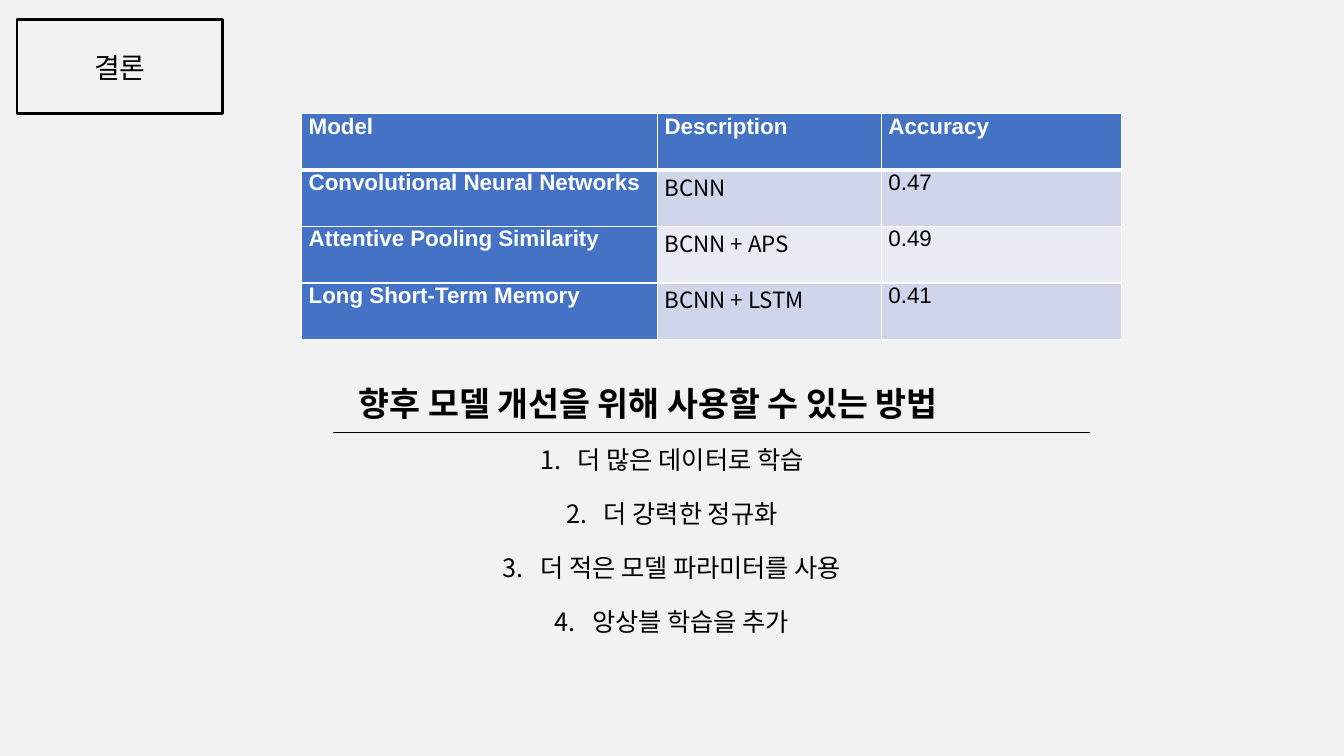
import dataclasses

import lxml.etree
import pptx
import pptx.dml.color
import pptx.enum.shapes
import pptx.enum.text
import pptx.oxml.ns
import pptx.util

Cm = pptx.util.Cm
Pt = pptx.util.Pt
Align = pptx.enum.text.PP_ALIGN
qn = pptx.oxml.ns.qn


@dataclasses.dataclass(frozen=True)
class Theme:
    background: str = "F2F2F2"
    ink: str = "000000"
    white: str = "FFFFFF"
    accent: str = "4472C4"
    bands: tuple = ("CFD5EA", "E9EBF5")
    latin: str = "Arial"
    korean: str = "Noto Sans CJK KR"
    title: float = 20
    heading: float = 24
    body: float = 18
    table: float = 16


def rgb(color):
    return pptx.dml.color.RGBColor.from_string(color)


class Page:
    def __init__(self, deck, theme):
        self.theme = theme
        self.slide = deck.slides.add_slide(deck.slide_layouts[5])
        fill = self.slide.background.fill
        fill.solid()
        fill.fore_color.rgb = rgb(theme.background)

    def style(self, para, size, face, color, bold=False, align=None):
        para.alignment = align
        for span in para.runs:
            font = span.font
            font.size, font.name, font.bold = Pt(size), face, bold
            font.color.rgb = rgb(color)
            east_asian = lxml.etree.SubElement(span._r.get_or_add_rPr(), qn("a:ea"))
            east_asian.set("typeface", face)

    def title(self, text, left, top, width, height):
        box = self.slide.shapes.title
        box.left, box.top, box.width, box.height = map(Cm, (left, top, width, height))
        frame = box.text_frame
        frame.text = text
        frame.word_wrap = True
        frame.auto_size = pptx.enum.text.MSO_AUTO_SIZE.NONE
        frame.vertical_anchor = pptx.enum.text.MSO_ANCHOR.TOP
        para = frame.paragraphs[0]
        para.line_spacing = 1.0
        para.space_before = Pt(0)
        self.style(para, self.theme.title, self.theme.korean, self.theme.ink, align=Align.CENTER)

    def frame(self, left, top, width, height, weight):
        kind = pptx.enum.shapes.MSO_SHAPE.RECTANGLE
        box = self.slide.shapes.add_shape(kind, *map(Cm, (left, top, width, height)))
        box.shadow.inherit = False
        box.fill.background()
        box.line.color.rgb = rgb(self.theme.ink)
        box.line.width = Pt(weight)

    def rule(self, left, right, y, weight):
        kind = pptx.enum.shapes.MSO_CONNECTOR.STRAIGHT
        line = self.slide.shapes.add_connector(kind, Cm(left), Cm(y), Cm(right), Cm(y))
        line.line.color.rgb = rgb(self.theme.ink)
        line.line.width = Pt(weight)
        lxml.etree.SubElement(line._element.spPr, qn("a:effectLst"))

    def borders(self, cell, bottom):
        properties = cell._tc.get_or_add_tcPr()
        weights = {"a:lnL": 1, "a:lnR": 1, "a:lnT": 1, "a:lnB": bottom}
        for place, (tag, weight) in enumerate(weights.items()):
            edge = lxml.etree.Element(qn(tag), w=str(Pt(weight)))
            fill = lxml.etree.SubElement(edge, qn("a:solidFill"))
            lxml.etree.SubElement(fill, qn("a:srgbClr"), val=self.theme.white)
            properties.insert(place, edge)

    def table(self, rows, left, top, widths, row_height):
        theme = self.theme
        size = Cm(sum(widths)), Cm(row_height * len(rows))
        grid = self.slide.shapes.add_table(len(rows), len(widths), Cm(left), Cm(top), *size).table
        for column, width in zip(grid.columns, widths):
            column.width = Cm(width)
        for r, values in enumerate(rows):
            grid.rows[r].height = Cm(row_height)
            for c, value in enumerate(values):
                cell = grid.cell(r, c)
                cell.text = value
                cell.margin_left = cell.margin_right = Cm(0.18)
                cell.margin_top = cell.margin_bottom = 0
                header = r == 0 or c == 0
                cell.fill.solid()
                cell.fill.fore_color.rgb = rgb(theme.accent if header else theme.bands[(r - 1) % 2])
                face = theme.korean if c == 1 and not header else theme.latin
                color = theme.white if header else theme.ink
                self.style(cell.text_frame.paragraphs[0], theme.table, face, color, header, Align.JUSTIFY)
                self.borders(cell, 3 if r == 0 else 1)

    def numbered_list(self, heading, items, left, top, width, height):
        theme = self.theme
        frame = self.slide.shapes.add_textbox(*map(Cm, (left, top, width, height))).text_frame
        frame.word_wrap = True
        frame.text = "\n".join([heading, *items])
        first, *others = frame.paragraphs
        self.style(first, theme.heading, theme.korean, theme.ink, bold=True)
        first._p.get_or_add_pPr().set("marL", str(Cm(1.4)))
        first.space_after = Pt(15)
        for para in others:
            self.style(para, theme.body, theme.korean, theme.ink, align=Align.CENTER)
            para.space_after = Pt(17)
            properties = para._p.get_or_add_pPr()
            properties.set("marL", str(Cm(0.95)))
            properties.set("indent", str(Cm(-0.95)))
            lxml.etree.SubElement(properties, qn("a:buFont"), typeface="+mj-lt")
            lxml.etree.SubElement(properties, qn("a:buAutoNum"), type="arabicPeriod")


def main():
    deck = pptx.Presentation()
    deck.slide_width, deck.slide_height = Cm(33.87), Cm(19.05)
    page = Page(deck, Theme())

    # Framed title
    page.title("결론", 0.58, 1.14, 4.88, 1.12)
    page.frame(0.43, 0.5, 5.17, 2.37, weight=2)

    # Model results
    results = [
        ("Model", "Description", "Accuracy"),
        ("Convolutional Neural Networks", "BCNN", "0.47"),
        ("Attentive Pooling Similarity", "BCNN + APS", "0.49"),
        ("Long Short-Term Memory", "BCNN + LSTM", "0.41"),
    ]
    page.table(results, 7.6, 2.87, widths=(8.97, 5.64, 6.05), row_height=1.42)

    # Future improvements
    improvements = ["더 많은 데이터로 학습", "더 강력한 정규화", "더 적은 모델 파라미터를 사용", "앙상블 학습을 추가"]
    page.numbered_list("향후 모델 개선을 위해 사용할 수 있는 방법", improvements, 7.39, 9.53, 19.08, 7.44)
    page.rule(8.38, 27.46, 10.9, weight=0.5)

    deck.save("out.pptx")


if __name__ == "__main__":
    main()
